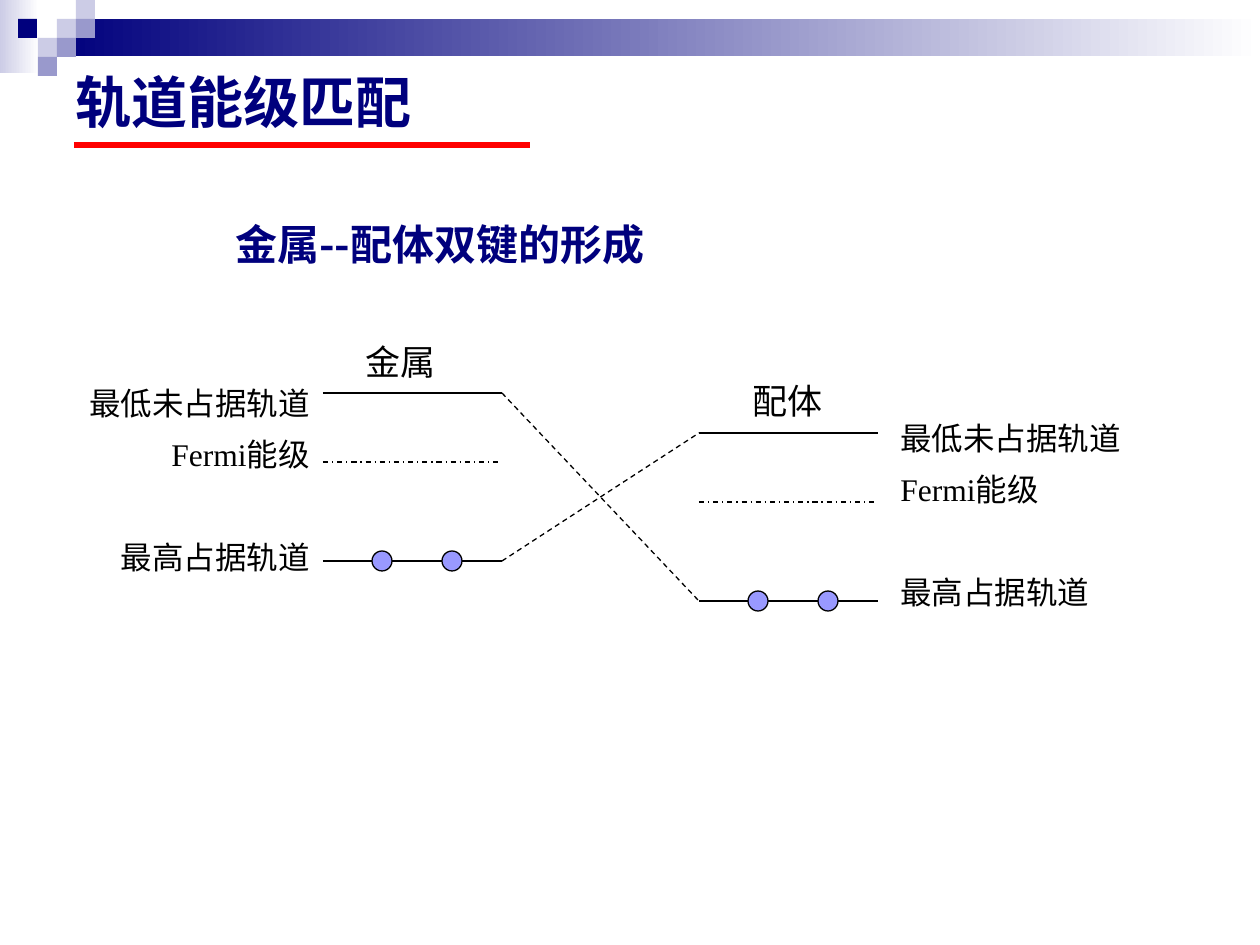
from dataclasses import dataclass

from lxml.etree import SubElement
from pptx import Presentation
from pptx.dml.color import RGBColor
from pptx.enum.dml import MSO_LINE
from pptx.enum.shapes import MSO_CONNECTOR, MSO_SHAPE
from pptx.enum.text import MSO_ANCHOR, MSO_AUTO_SIZE, PP_ALIGN
from pptx.oxml.ns import qn
from pptx.util import Emu, Pt

PX_PER_INCH = 126


def px(length: int) -> Emu:
    return Emu(round(length * 914400 / PX_PER_INCH))


@dataclass(frozen=True)
class Theme:
    navy: RGBColor = RGBColor(0x00, 0x00, 0x7D)
    lavender: RGBColor = RGBColor(0xCC, 0xCC, 0xE6)
    periwinkle: RGBColor = RGBColor(0x99, 0x99, 0xCC)
    electron: RGBColor = RGBColor(0x99, 0x99, 0xFF)
    rule: RGBColor = RGBColor(0xFF, 0x00, 0x00)
    ink: RGBColor = RGBColor(0x00, 0x00, 0x00)
    paper: RGBColor = RGBColor(0xFF, 0xFF, 0xFF)
    cjk_font: str = "Noto Sans CJK SC"
    name_font: str = "Arial"
    label_font: str = "Times New Roman"
    title_size: int = 32
    subtitle_size: int = 24
    name_size: int = 20
    label_size: int = 18
    thin: float = 0.75
    thick: float = 3


THEME = Theme()


@dataclass(frozen=True)
class Box:
    left: int
    top: int
    width: int
    height: int

    def emu(self) -> tuple[Emu, Emu, Emu, Emu]:
        return px(self.left), px(self.top), px(self.width), px(self.height)


@dataclass(frozen=True)
class Style:
    font: str
    size: int
    color: RGBColor
    bold: bool = False


@dataclass(frozen=True)
class OrbitalSet:
    """Energy levels of one partner; lumo is the height of its top line."""
    name: str
    left: int
    lumo: int
    name_box: Box
    label_box: Box
    label_align: PP_ALIGN

    @property
    def right(self) -> int:
        return self.left + LEVEL_WIDTH

    @property
    def fermi(self) -> int:
        return self.lumo + 69

    @property
    def homo(self) -> int:
        return self.lumo + 168


TITLE = Style(THEME.cjk_font, THEME.title_size, THEME.navy, True)
SUBTITLE = Style(THEME.cjk_font, THEME.subtitle_size, THEME.navy, True)
NAME = Style(THEME.name_font, THEME.name_size, THEME.ink)
LABEL = Style(THEME.label_font, THEME.label_size, THEME.ink)

LEVEL_WIDTH = 179
ELECTRON_OFFSETS = (59, 129)
ELECTRON_SIZE = 20
# Text, line spacing and space before in points
LEVEL_LABELS = (
    ("最低未占据轨道", 1.25, 0),
    ("Fermi能级", 0.85, 11.2),
    ("最高占据轨道", 0.85, 40.4),
)
METAL = OrbitalSet("金属", 323, 393, Box(353, 334, 100, 55),
                   Box(54, 368, 268, 215), PP_ALIGN.RIGHT)
LIGAND = OrbitalSet("配体", 699, 433, Box(740, 373, 128, 55),
                    Box(888, 403, 268, 215), PP_ALIGN.LEFT)

TILE = 19
# Left, top and colour of the corner tiles
TILES = (
    (57, 19, THEME.lavender),
    (76, 0, THEME.lavender),
    (76, 19, THEME.periwinkle),
    (38, 38, THEME.lavender),
    (18, 19, THEME.navy),
    (57, 38, THEME.periwinkle),
    (38, 57, THEME.periwinkle),
)


def format_paragraph(paragraph, style: Style) -> None:
    font = paragraph.font
    font.name, font.size, font.bold = style.font, Pt(style.size), style.bold
    font.color.rgb = style.color
    properties = paragraph._p.pPr.find(qn("a:defRPr"))
    SubElement(properties, qn("a:ea")).set("typeface", THEME.cjk_font)


def add_text(slide, box: Box, style: Style, text: str):
    frame = slide.shapes.add_textbox(*box.emu()).text_frame
    frame.word_wrap = True
    frame.auto_size = MSO_AUTO_SIZE.SHAPE_TO_FIT_TEXT
    frame.text = text
    for paragraph in frame.paragraphs:
        format_paragraph(paragraph, style)
    return frame


def add_block(slide, box: Box, color: RGBColor, fade: bool = False) -> None:
    block = slide.shapes.add_shape(MSO_SHAPE.RECTANGLE, *box.emu())
    block.shadow.inherit = False
    block.line.fill.background()
    if fade:
        block.fill.gradient()
        block.fill.gradient_angle = 0
        for stop, shade in zip(block.fill.gradient_stops, (color, THEME.paper)):
            stop.color.rgb = shade
    else:
        block.fill.solid()
        block.fill.fore_color.rgb = color


def add_line(slide, start: tuple[int, int], end: tuple[int, int],
             color: RGBColor = THEME.ink, weight: float = THEME.thin,
             dash: MSO_LINE | None = None) -> None:
    connector = slide.shapes.add_connector(
        MSO_CONNECTOR.STRAIGHT, *map(px, (*start, *end)))
    connector.line.color.rgb = color
    connector.line.width = Pt(weight)
    if dash is not None:
        connector.line.dash_style = dash
    SubElement(connector._element.spPr, qn("a:effectLst"))


def add_electron(slide, center_x: int, center_y: int) -> None:
    radius = ELECTRON_SIZE // 2
    box = Box(center_x - radius, center_y - radius, ELECTRON_SIZE, ELECTRON_SIZE)
    electron = slide.shapes.add_shape(MSO_SHAPE.OVAL, *box.emu())
    electron.shadow.inherit = False
    electron.fill.solid()
    electron.fill.fore_color.rgb = THEME.electron
    electron.line.color.rgb = THEME.ink
    electron.line.width = Pt(THEME.thin)


def add_orbitals(slide, orbitals: OrbitalSet) -> None:
    for height, dash in ((orbitals.lumo, None),
                         (orbitals.fermi, MSO_LINE.DASH_DOT),
                         (orbitals.homo, None)):
        add_line(slide, (orbitals.left, height), (orbitals.right, height), dash=dash)
    for offset in ELECTRON_OFFSETS:
        add_electron(slide, orbitals.left + offset, orbitals.homo)

    add_text(slide, orbitals.name_box, NAME, orbitals.name)
    labels = add_text(slide, orbitals.label_box, LABEL,
                      "\n".join(text for text, _, _ in LEVEL_LABELS))
    for paragraph, (_, spacing, before) in zip(labels.paragraphs, LEVEL_LABELS):
        paragraph.alignment = orbitals.label_align
        paragraph.line_spacing = spacing
        paragraph.space_before = Pt(before)


def add_title(slide, box: Box, text: str) -> None:
    title = slide.shapes.title
    title.left, title.top, title.width, title.height = box.emu()
    frame = title.text_frame
    frame.text = text
    frame.auto_size = MSO_AUTO_SIZE.NONE
    frame.vertical_anchor = MSO_ANCHOR.MIDDLE
    frame.paragraphs[0].alignment = PP_ALIGN.LEFT
    format_paragraph(frame.paragraphs[0], TITLE)


def main() -> None:
    deck = Presentation()
    deck.slide_width, deck.slide_height = px(1260), px(945)
    slide = deck.slides.add_slide(deck.slide_layouts[5])

    add_block(slide, Box(0, 0, 39, 73), THEME.lavender, fade=True)
    add_block(slide, Box(57, 19, 1203, 37), THEME.navy, fade=True)
    for left, top, color in TILES:
        add_block(slide, Box(left, top, TILE, TILE), color)

    add_title(slide, Box(63, 63, 457, 76), "轨道能级匹配")
    add_line(slide, (74, 145), (530, 145), THEME.rule, THEME.thick)
    add_text(slide, Box(223, 212, 566, 63), SUBTITLE, "金属--配体双键的形成")

    add_orbitals(slide, METAL)
    add_orbitals(slide, LIGAND)
    for metal_level, ligand_level in ((METAL.lumo, LIGAND.homo),
                                      (METAL.homo, LIGAND.lumo)):
        add_line(slide, (METAL.right, metal_level), (LIGAND.left, ligand_level),
                 dash=MSO_LINE.DASH)
    deck.save("out.pptx")


if __name__ == "__main__":
    main()
